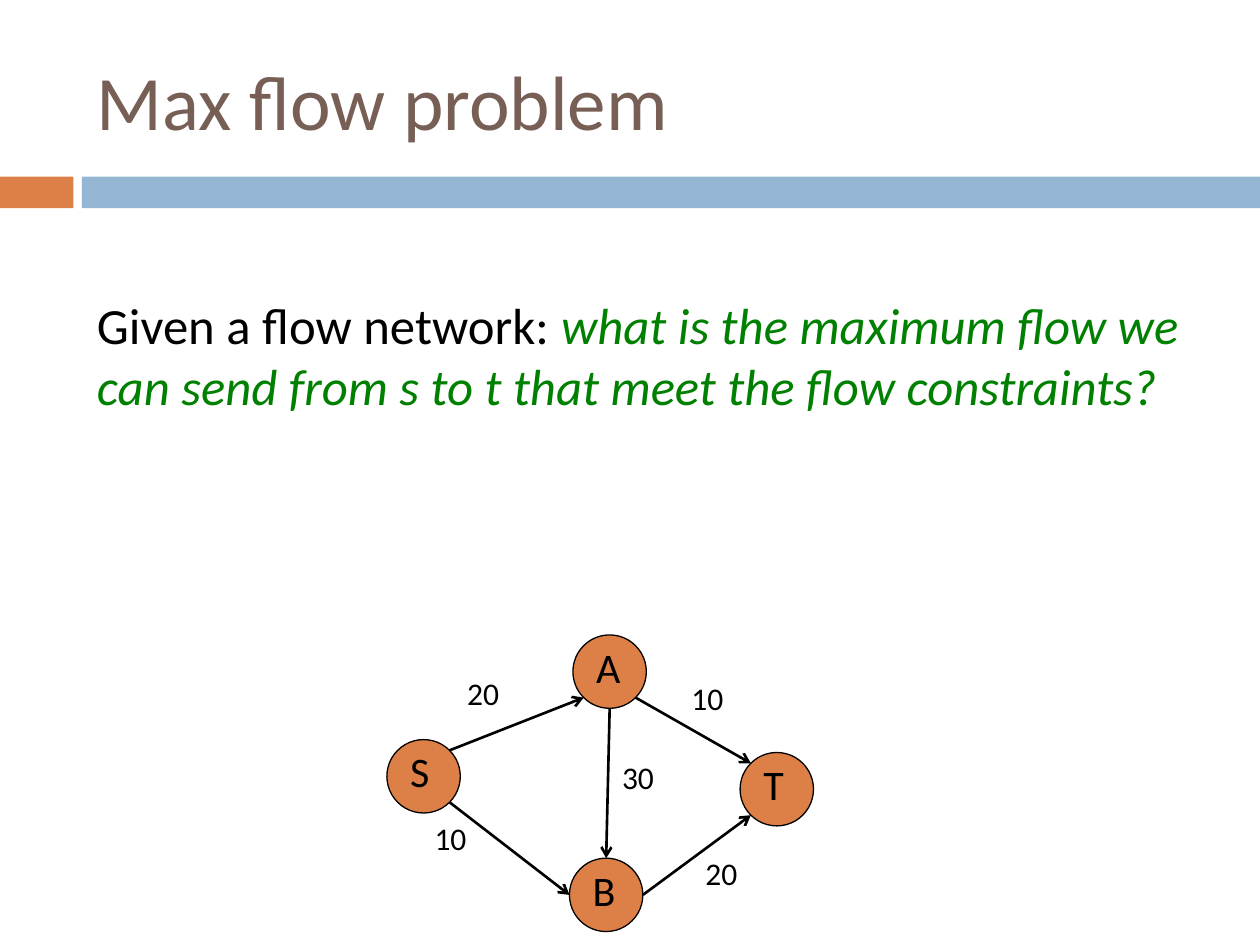
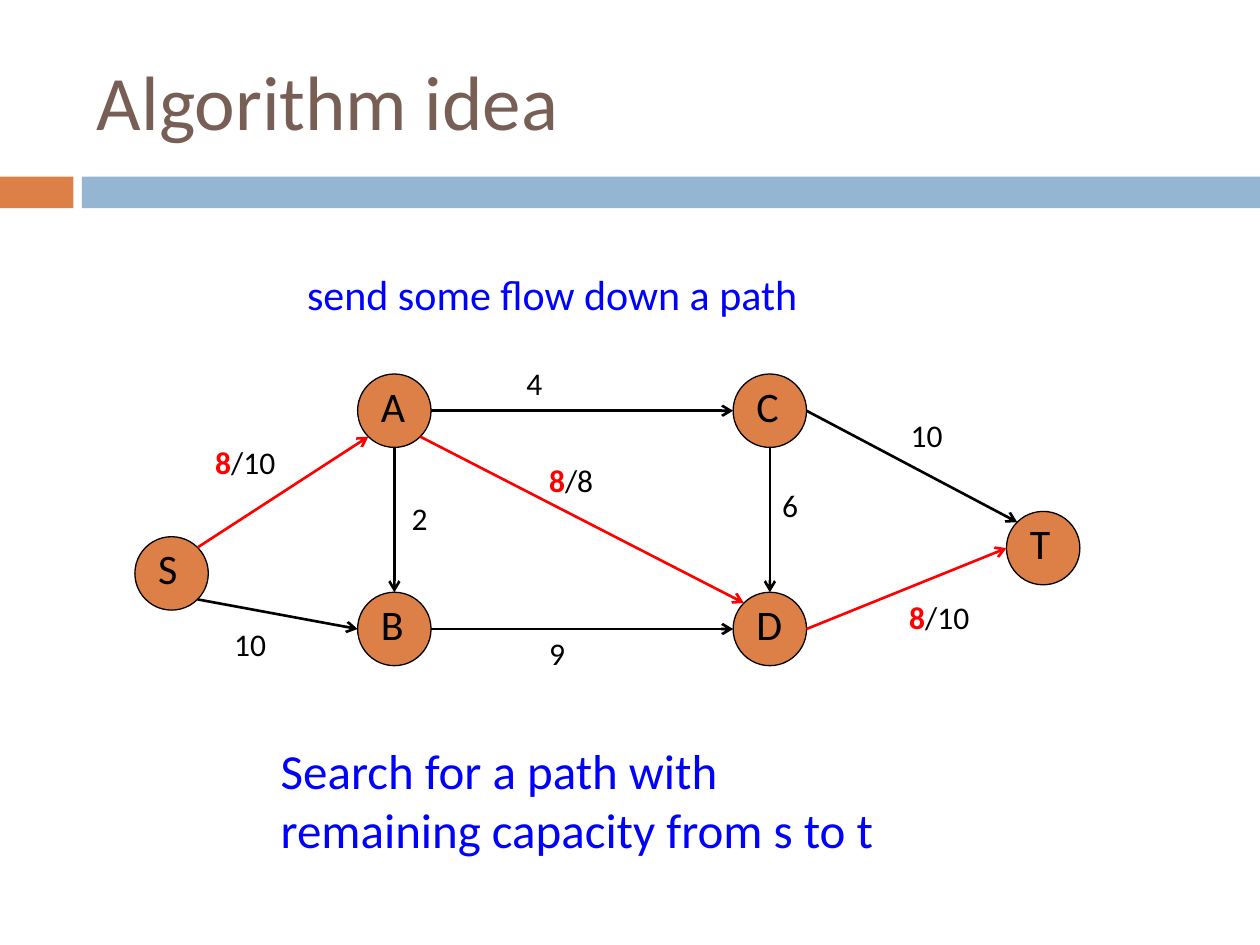
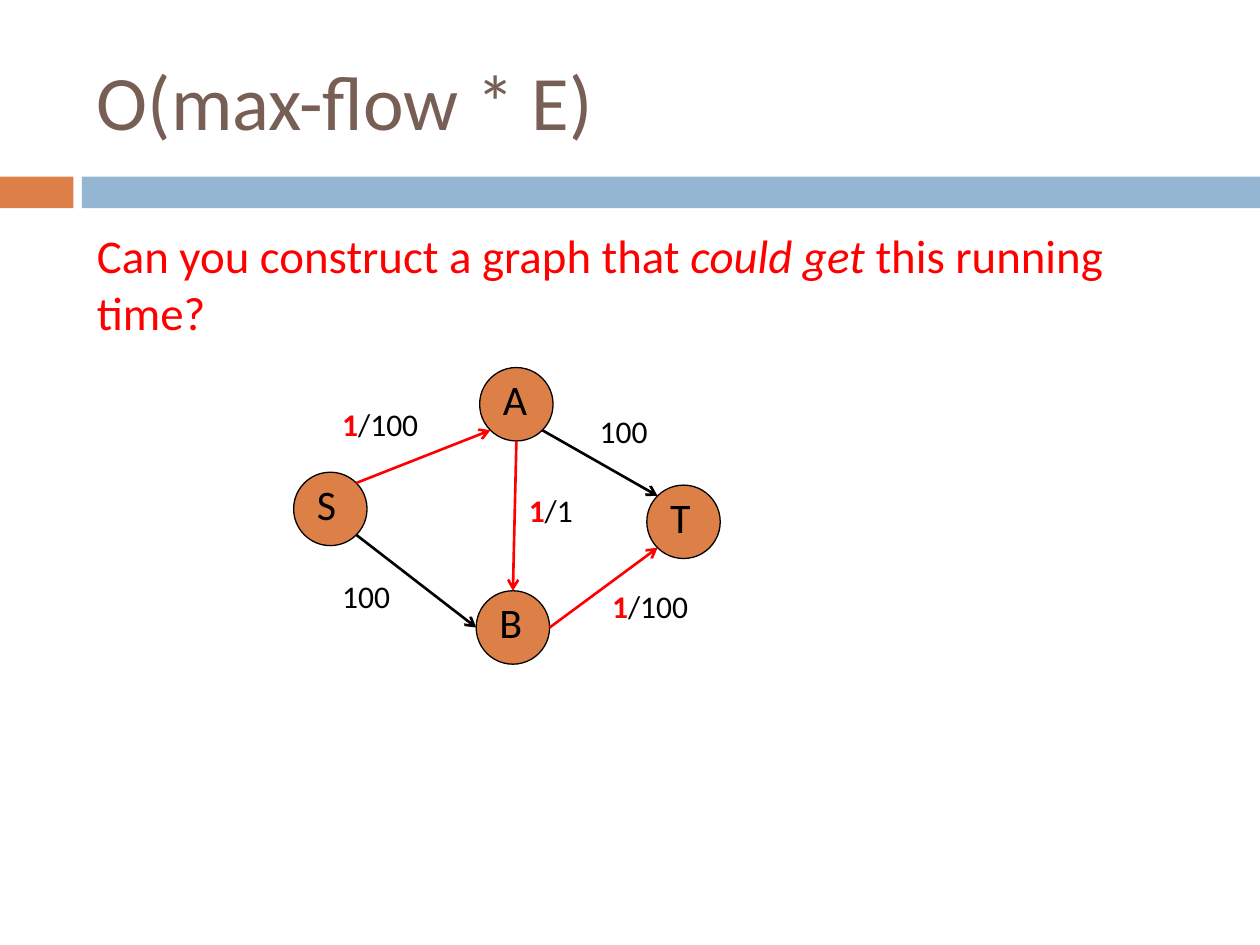
"""Build three slides about flow networks."""
import dataclasses
import enum
import math

import pptx
import pptx.dml.color
import pptx.enum.shapes
import pptx.enum.text
import pptx.oxml
import pptx.oxml.ns
import pptx.presentation
import pptx.shapes.base
import pptx.slide
import pptx.text.text
import pptx.util

Cm = pptx.util.Cm
Pt = pptx.util.Pt
RGBColor = pptx.dml.color.RGBColor
qn = pptx.oxml.ns.qn

ORANGE = RGBColor(0xDD, 0x80, 0x47)
SKY = RGBColor(0x94, 0xB6, 0xD2)
BROWN = RGBColor(0x77, 0x5F, 0x55)
BLACK = RGBColor(0, 0, 0)
RED = RGBColor(0xFF, 0, 0)
GREEN = RGBColor(0, 0x80, 0)
BLUE = RGBColor(0, 0, 0xFF)

FONT = "Calibri"
SIZE = 1.48
INSET = 0.22
BOX = 1.27
TAG_HIGH = 1.02


class Side(enum.Enum):
    E = 0
    SE = 45
    S = 90
    SW = 135
    W = 180
    NW = 225
    N = 270
    NE = 315


@dataclasses.dataclass(frozen=True)
class Node:
    name: str
    left: float
    top: float

    def point(self, side: Side) -> tuple[Cm, Cm]:
        turn = math.radians(side.value)
        half = SIZE / 2
        return (Cm(self.left + half + half * math.cos(turn)),
                Cm(self.top + half + half * math.sin(turn)))


@dataclasses.dataclass(frozen=True)
class Route:
    start: str
    leave: Side
    end: str
    enter: Side


@dataclasses.dataclass(frozen=True)
class Tag:
    text: str
    left: float
    top: float
    width: float = 1.91


@dataclasses.dataclass(frozen=True)
class Span:
    text: str
    color: RGBColor
    slant: bool = False


@dataclasses.dataclass(frozen=True)
class Band:
    left: float
    width: float
    color: RGBColor


BANDS = [Band(0, 1.48, ORANGE), Band(1.65, 23.75, SKY)]

DIAMOND = [
    Route("S", Side.NE, "A", Side.SW),
    Route("S", Side.SE, "B", Side.W),
    Route("B", Side.E, "T", Side.SW),
    Route("A", Side.S, "B", Side.N),
    Route("A", Side.SE, "T", Side.NW),
]
MAX_TAGS = [
    Tag("20", 9.17, 13.46),
    Tag("10", 8.51, 16.38),
    Tag("20", 13.97, 17.09),
    Tag("30", 12.29, 15.16),
    Tag("10", 13.69, 13.56),
]
TIME_TAGS = [
    Tag("1/100", 6.65, 8.05, 2.57),
    Tag("100", 6.65, 11.51),
    Tag("1/100", 12.09, 11.71, 2.77),
    Tag("1/1", 10.41, 9.78),
    Tag("100", 11.84, 8.18),
]

LEFT, RIGHT, HIGH, LOW = 7.21, 14.78, 7.54, 11.94
PATH_NODES = [
    Node("S", 2.72, 10.82),
    Node("A", LEFT, HIGH),
    Node("B", LEFT, LOW),
    Node("C", RIGHT, HIGH),
    Node("D", RIGHT, LOW),
    Node("T", 20.29, 10.31),
]
PATH_ROUTES = [
    Route("S", Side.NE, "A", Side.SW),
    Route("S", Side.SE, "B", Side.W),
    Route("B", Side.E, "D", Side.W),
    Route("A", Side.S, "B", Side.N),
    Route("A", Side.E, "C", Side.W),
    Route("C", Side.S, "D", Side.N),
    Route("A", Side.SE, "D", Side.NW),
    Route("C", Side.E, "T", Side.NW),
    Route("D", Side.E, "T", Side.W),
]
PATH_TAGS = [
    Tag("8/10", 4.09, 8.81),
    Tag("10", 4.47, 12.47),
    Tag("9", 10.82, 12.65),
    Tag("2", 8.05, 9.93),
    Tag("4", 10.36, 7.21, 2.36),
    Tag("6", 15.52, 9.68),
    Tag("8/8", 10.82, 9.17, 2.41),
    Tag("10", 18.11, 8.26, 2.41),
    Tag("8/10", 18.08, 11.94, 2.41),
]


def place(shape: pptx.shapes.base.BaseShape, left: float, top: float,
          width: float, height: float) -> None:
    shape.left, shape.top = Cm(left), Cm(top)
    shape.width, shape.height = Cm(width), Cm(height)


def style(para: pptx.text.text._Paragraph, size: float,
          color: RGBColor | None = None) -> None:
    para.font.name = FONT
    para.font.size = Pt(size)
    if color is not None:
        para.font.color.rgb = color


def add_text(shapes, text: str, left: float, top: float, width: float,
             height: float, size: float,
             color: RGBColor | None = None) -> pptx.text.text._Paragraph:
    box = shapes.add_textbox(Cm(left), Cm(top), Cm(width), Cm(height))
    frame = box.text_frame
    frame.word_wrap = True
    frame.auto_size = pptx.enum.text.MSO_AUTO_SIZE.SHAPE_TO_FIT_TEXT
    para = frame.paragraphs[0]
    if text:
        para.add_run().text = text
    style(para, size, color)
    return para


def add_bands(deck: pptx.presentation.Presentation,
              slide: pptx.slide.Slide) -> None:
    tree = deck.slide_master.shapes.element
    for spot, band in enumerate(BANDS, start=2):
        shape = slide.shapes.add_shape(
            pptx.enum.shapes.MSO_SHAPE.RECTANGLE,
            Cm(band.left), Cm(3.56), Cm(band.width), Cm(0.64))
        shape.shadow.inherit = False
        shape.fill.solid()
        shape.fill.fore_color.rgb = band.color
        shape.line.fill.background()
        tree.insert(spot, shape.element)


def add_slide(deck: pptx.presentation.Presentation, layout: str,
              title: str) -> pptx.slide.Slide:
    slide = deck.slides.add_slide(deck.slide_layouts.get_by_name(layout))
    head = slide.shapes.title
    place(head, 1.7, 0.64, 22.66, 2.74)
    frame = head.text_frame
    frame.text = title
    frame.vertical_anchor = pptx.enum.text.MSO_ANCHOR.MIDDLE
    frame.auto_size = pptx.enum.text.MSO_AUTO_SIZE.NONE
    para = frame.paragraphs[0]
    para.alignment = pptx.enum.text.PP_ALIGN.LEFT
    style(para, 44, BROWN)
    return slide


def fill_body(slide: pptx.slide.Slide, top: float, height: float,
              size: float, spans: list[Span]) -> None:
    body = slide.placeholders[1]
    place(body, 1.7, top, 22.66, height)
    frame = body.text_frame
    frame.auto_size = pptx.enum.text.MSO_AUTO_SIZE.NONE
    para = frame.paragraphs[0]
    para.space_before = Pt(7)
    style(para, size)
    for span in spans:
        run = para.add_run()
        run.text = span.text
        run.font.color.rgb = span.color
        run.font.italic = span.slant
    for props in body.element.iter(qn("a:pPr")):
        props.set("marL", "0")
        props.set("indent", "0")
        plain = pptx.oxml.parse_xml(
            f"<a:buNone {pptx.oxml.ns.nsdecls('a')}/>")
        props.find(qn("a:defRPr")).addprevious(plain)


def add_node(slide: pptx.slide.Slide, node: Node) -> None:
    group = slide.shapes.add_group_shape()
    disc = group.shapes.add_shape(
        pptx.enum.shapes.MSO_SHAPE.OVAL,
        Cm(node.left), Cm(node.top), Cm(SIZE), Cm(SIZE))
    disc.shadow.inherit = False
    disc.fill.solid()
    disc.fill.fore_color.rgb = ORANGE
    disc.line.color.rgb = BLACK
    disc.line.width = Pt(0.75)
    add_text(group.shapes, node.name, node.left + INSET, node.top,
             BOX, BOX, 24, BLACK)


def add_arrow(slide: pptx.slide.Slide, start: tuple[Cm, Cm],
              end: tuple[Cm, Cm], color: RGBColor) -> None:
    arrow = slide.shapes.add_connector(
        pptx.enum.shapes.MSO_CONNECTOR.STRAIGHT, *start, *end)
    arrow.line.color.rgb = color
    arrow.line.width = Pt(1.5)
    props = arrow.element.spPr
    space = pptx.oxml.ns.nsdecls("a")
    props.find(qn("a:ln")).append(
        pptx.oxml.parse_xml(f'<a:tailEnd {space} type="arrow"/>'))
    props.append(pptx.oxml.parse_xml(f"<a:effectLst {space}/>"))


def add_tag(slide: pptx.slide.Slide, tag: Tag) -> None:
    flow, slash, room = tag.text.rpartition("/")
    para = add_text(slide.shapes, "", tag.left, tag.top, tag.width,
                    TAG_HIGH, 18)
    if flow:
        used = para.add_run()
        used.text = flow
        used.font.bold = True
        used.font.color.rgb = RED
    rest = para.add_run()
    rest.text = slash + room
    rest.font.color.rgb = BLACK


def add_graph(slide: pptx.slide.Slide, nodes: list[Node],
              routes: list[Route], tags: list[Tag]) -> None:
    named = {node.name: node for node in nodes}
    for node in nodes:
        add_node(slide, node)
    for route, tag in zip(routes, tags):
        add_arrow(slide, named[route.start].point(route.leave),
                  named[route.end].point(route.enter),
                  RED if "/" in tag.text else BLACK)
    for tag in tags:
        add_tag(slide, tag)


def diamond(left: float, top: float) -> list[Node]:
    return [
        Node("S", left, top),
        Node("A", left + 3.75, top - 2.11),
        Node("B", left + 3.68, top + 2.39),
        Node("T", left + 7.12, top + 0.26),
    ]


def main() -> None:
    deck = pptx.Presentation()
    deck.slide_width, deck.slide_height = Cm(25.4), Cm(19.05)

    slide = add_slide(deck, "Title and Content", "Max flow problem")
    add_bands(deck, slide)
    fill_body(slide, 5.79, 6.17, 29, [
        Span("Given a flow network: ", BLACK),
        Span("what is the maximum flow we can send from s to t "
             "that meet the flow constraints?", GREEN, True),
    ])
    add_graph(slide, diamond(7.8, 14.91), DIAMOND, MAX_TAGS)

    slide = add_slide(deck, "Title Only", "Algorithm idea")
    add_graph(slide, PATH_NODES, PATH_ROUTES, PATH_TAGS)
    add_text(slide.shapes, "send some flow down a path",
             5.94, 5.28, 14.07, 1.27, 24, BLUE)
    add_text(slide.shapes,
             "Search for a path with remaining capacity from s to t",
             5.41, 14.81, 13.36, 2.64, 28, BLUE)

    slide = add_slide(deck, "Title and Content", "O(max-flow * E)")
    fill_body(slide, 4.45, 1.78, 26.8, [
        Span("Can you construct a graph that ", RED),
        Span("could get", RED, True),
        Span(" this running time?", RED),
    ])
    add_graph(slide, diamond(5.92, 9.52), DIAMOND, TIME_TAGS)

    deck.save("out.pptx")


if __name__ == "__main__":
    main()
